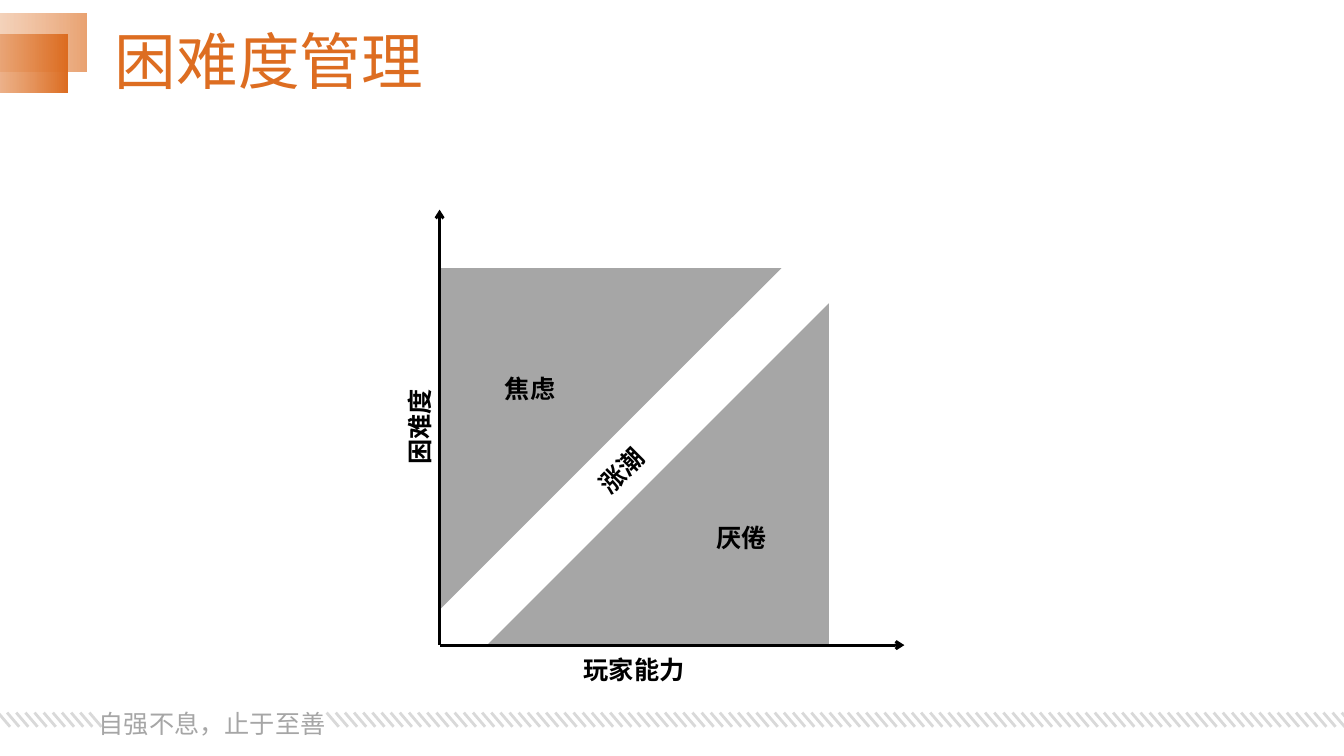
from pptx import Presentation
from pptx import util as u
from pptx.dml.color import RGBColor
from pptx.enum import lang, shapes, text
from pptx.oxml.ns import qn
from lxml import etree

ORANGE = RGBColor(0xDD, 0x6D, 0x21)
LIGHT_ORANGE = RGBColor(0xEA, 0xA3, 0x72)
GREY = RGBColor(0xA6, 0xA6, 0xA6)
PALE_GREY = RGBColor(0xD9, 0xD9, 0xD9)
BLACK = RGBColor(0, 0, 0)
WHITE = RGBColor(0xFF, 0xFF, 0xFF)

PX = 9144
SANS = "Noto Sans CJK SC"
TITLE = ("困难度管理", (104, 11, 1150, 107))
MOTTO = ("自强不息，止于至善", (88, 683, 246, 52))
LABELS = [
    ("涨潮", (581, 446, 71, 40), 315),
    ("焦虑", (491, 365, 71, 40), 0),
    ("厌倦", (701, 513, 71, 40), 0),
    ("玩家能力", (569, 644, 121, 40), 0),
    ("困难度", (368, 403, 96, 40), 270),
]
BANNERS = [
    ((-159, 13, 245, 58), LIGHT_ORANGE, 25),
    ((-178, 34, 245, 58), ORANGE, 0),
]
HATCHES = [(-2, 11), (324, 112)]
HATCH_PITCH, HATCH_WIDTH, HATCH_TOP, HATCH_BOTTOM = 9.07, 12, 707, 721
ORIGIN = (436, 640)
AXIS_ENDS = [(897, 640), (436, 208)]
ZONE_SIZE = 339
ZONES = [((436, 266), 90), ((483, 301), 270)]


def emu(lengths):
    return [round(length * PX) for length in lengths]


def add_line(page, start, end, color):
    line = page.shapes.add_connector(
        shapes.MSO_CONNECTOR.STRAIGHT, *emu(start), *emu(end))
    line.line.color.rgb = color
    line.line.width = u.Pt(2)
    etree.SubElement(line._element.spPr, qn("a:effectLst"))
    return line


def add_plain_shape(page, kind, frame):
    shape = page.shapes.add_shape(kind, *emu(frame))
    shape.shadow.inherit = False
    shape.line.fill.background()
    return shape


def write(para, words, size, face, color, bold=False):
    span = para.add_run()
    span.text = words
    font = span.font
    font.size, font.name, font.bold = u.Pt(size), face, bold
    font.color.rgb = color
    font.language_id = lang.MSO_LANGUAGE_ID.SIMPLIFIED_CHINESE
    east_asian = etree.SubElement(span._r.get_or_add_rPr(), qn("a:ea"))
    east_asian.set("typeface", face)


def add_text(page, frame, wrap):
    box = page.shapes.add_textbox(*emu(frame))
    box.text_frame.word_wrap = wrap
    box.text_frame.auto_size = text.MSO_AUTO_SIZE.SHAPE_TO_FIT_TEXT
    return box


def add_banners(page):
    for frame, color, opacity in BANNERS:
        banner = add_plain_shape(page, shapes.MSO_SHAPE.RECTANGLE, frame)
        banner.fill.gradient()
        banner.fill.gradient_angle = 0
        for stop, shade, place in zip(banner.fill.gradient_stops, (WHITE, color), (0, 1)):
            stop.color.rgb = shade
            stop.position = place
        first = next(banner._element.spPr.iter(qn("a:srgbClr")))
        etree.SubElement(first, qn("a:alpha")).set("val", str(opacity * 1000))


def add_footer(page):
    for start, count in HATCHES:
        for index in range(count):
            left = start + index * HATCH_PITCH
            add_line(page, (left, HATCH_TOP), (left + HATCH_WIDTH, HATCH_BOTTOM), PALE_GREY)
    words, frame = MOTTO
    para = add_text(page, frame, True).text_frame.paragraphs[0]
    para.alignment = text.PP_ALIGN.JUSTIFY
    para.line_spacing = 1.5
    write(para, words, 18, "Noto Sans CJK JP", GREY)


def add_title(page):
    words, frame = TITLE
    title = page.shapes.title
    title.left, title.top, title.width, title.height = emu(frame)
    title.text_frame.auto_size = text.MSO_AUTO_SIZE.NONE
    title.text_frame.vertical_anchor = text.MSO_ANCHOR.MIDDLE
    para = title.text_frame.paragraphs[0]
    para.alignment = text.PP_ALIGN.LEFT
    para.line_spacing = 0.9
    write(para, words, 44, SANS, ORANGE)


def add_diagram(page):
    for corner, angle in ZONES:
        zone = add_plain_shape(
            page, shapes.MSO_SHAPE.RIGHT_TRIANGLE, (*corner, ZONE_SIZE, ZONE_SIZE))
        zone.fill.solid()
        zone.fill.fore_color.rgb = GREY
        zone.rotation = angle
    for end in AXIS_ENDS:
        axis = add_line(page, ORIGIN, end, BLACK)
        etree.SubElement(axis.line._get_or_add_ln(), qn("a:tailEnd")).set("type", "arrow")
    for words, frame, angle in LABELS:
        label = add_text(page, frame, False)
        label.rotation = angle
        write(label.text_frame.paragraphs[0], words, 18, "Arial", BLACK, True)


def main():
    deck = Presentation()
    deck.slide_width, deck.slide_height = u.Inches(13.33), u.Inches(7.5)
    page = deck.slides.add_slide(deck.slide_layouts[5])
    add_banners(page)
    add_footer(page)
    add_title(page)
    add_diagram(page)
    deck.save("out.pptx")


if __name__ == "__main__":
    main()
